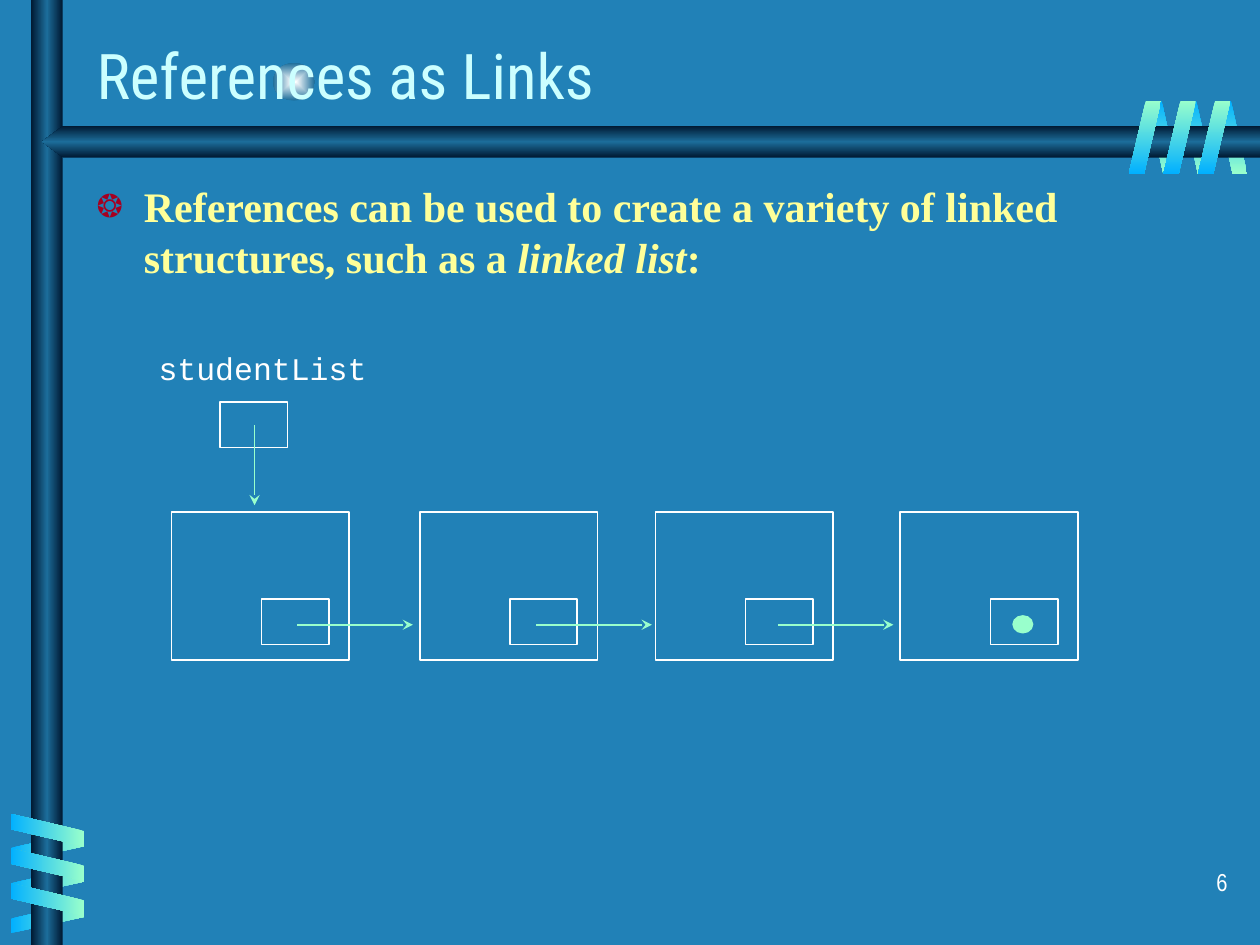
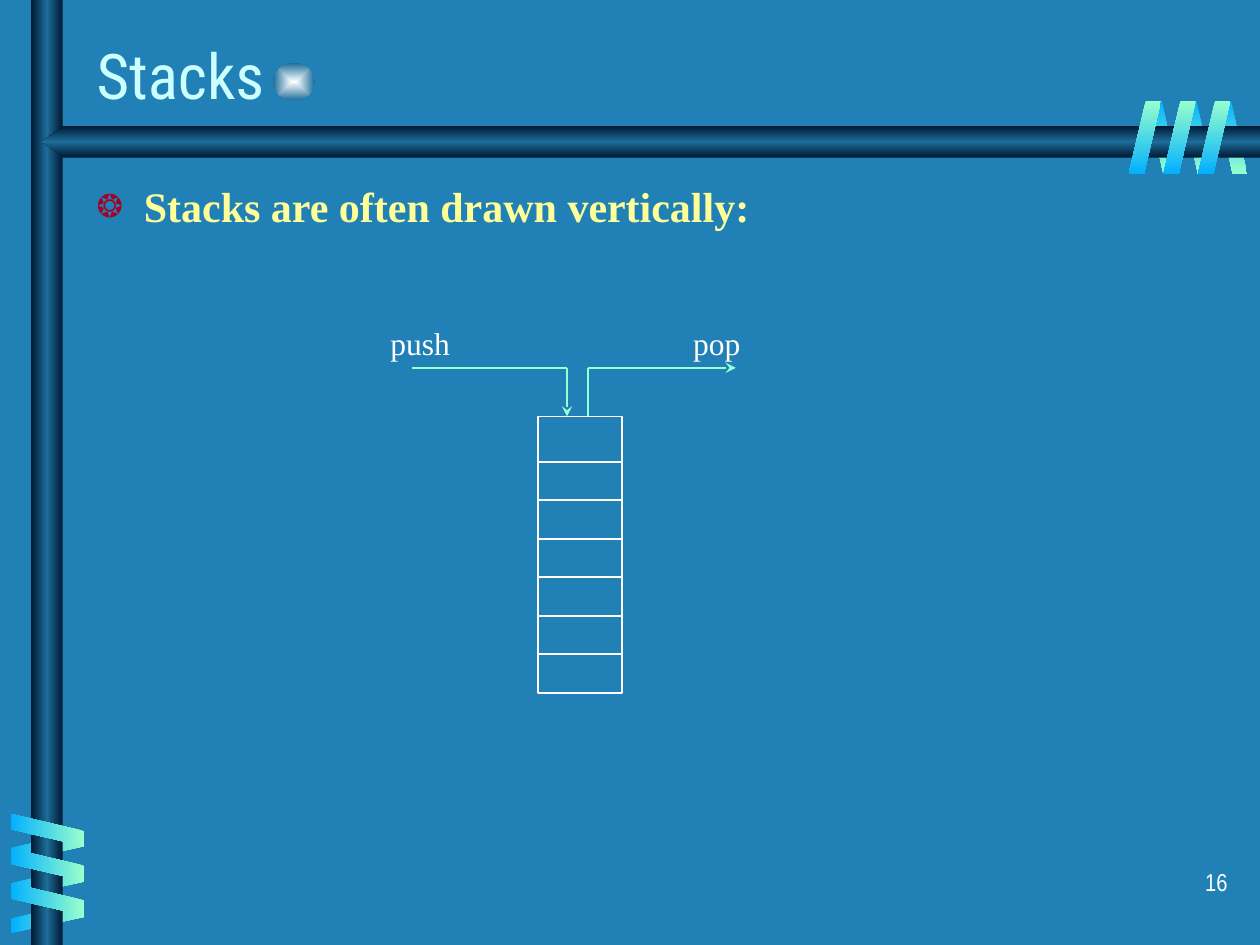
from collections import namedtuple
from dataclasses import dataclass

from lxml import etree
from pptx import Presentation
from pptx.dml.color import RGBColor
from pptx.enum import shapes as kinds, text as modes
from pptx.oxml.ns import qn
from pptx.util import Pt

Box = namedtuple("Box", "left top width height")
SHAPE = kinds.MSO_SHAPE


@dataclass(frozen=True)
class Theme:
    ground: str = "2181B7"
    title: str = "CCFFFF"
    body: str = "FFFF99"
    bullet: str = "A50021"
    outline: str = "FFFFFF"
    accent: str = "99FFCC"
    ribbon: str = "01B0FF"
    bar_edge: str = "001932"
    bar_core: str = "1C6D9A"
    glow: str = "FEFFFF"
    title_font: str = "Roboto Condensed"
    body_font: str = "Times New Roman"
    code_font: str = "Courier New"
    number_font: str = "Arial Narrow"
    title_size: int = 36
    body_size: int = 24
    label_size: int = 18
    number_size: int = 14


THEME = Theme()
BAR_STOPS = (THEME.bar_edge, THEME.bar_core, THEME.bar_edge)
TITLE_BOX = Box(48, 15.5, 598, 54)
BODY_BOX = Box(48, 99.8, 654, 386)
NUMBER_BOX = Box(558.5, 492, 150, 36)


def points(*lengths):
    return [Pt(length) for length in lengths]


def sub(parent, tag, **attributes):
    return etree.SubElement(parent, qn(tag), attributes)


def style(paragraph, font, size, color, bold=False):
    paragraph.font.name = font
    paragraph.font.size = Pt(size)
    paragraph.font.bold = bold
    paragraph.font.color.rgb = RGBColor.from_string(color)


def gradient(shape, colors, angle=None):
    """Fill with evenly spaced colours; without an angle they run from the centre."""
    shape.shadow.inherit = False
    shape.line.fill.background()
    shape.fill.gradient()
    fill = shape.element.spPr.find(qn("a:gradFill"))
    fill.set("rotWithShape", "0")
    for child in list(fill):
        fill.remove(child)
    stops = sub(fill, "a:gsLst")
    for i, color in enumerate(colors):
        stop = sub(stops, "a:gs", pos=str(100000 * i // (len(colors) - 1)))
        sub(stop, "a:srgbClr", val=color)
    if angle is None:
        center = sub(fill, "a:path", path="rect")
        sub(center, "a:fillToRect", l="50000", t="50000", r="50000", b="50000")
    else:
        sub(fill, "a:lin", ang=str(angle * 60000), scaled="0")


def outlined(shapes, box, kind=SHAPE.RECTANGLE, fill=None):
    shape = shapes.add_shape(kind, *points(*box))
    shape.shadow.inherit = False
    if fill:
        shape.fill.solid()
        shape.fill.fore_color.rgb = RGBColor.from_string(fill)
    else:
        shape.fill.background()
    shape.line.color.rgb = RGBColor.from_string(fill or THEME.outline)
    shape.line.width = Pt(1)


def link(shapes, start, end, arrow=True):
    line = shapes.add_connector(kinds.MSO_CONNECTOR.STRAIGHT, *points(*start, *end))
    line.line.color.rgb = RGBColor.from_string(THEME.accent)
    line.line.width = Pt(1)
    properties = line._element.spPr
    if arrow:
        sub(properties.find(qn("a:ln")), "a:tailEnd", type="stealth")
    sub(properties, "a:effectLst")


def label(shapes, box, wording, font):
    frame = shapes.add_textbox(*points(*box)).text_frame
    frame.word_wrap = False
    frame.auto_size = modes.MSO_AUTO_SIZE.SHAPE_TO_FIT_TEXT
    frame.text = wording
    style(frame.paragraphs[0], font, THEME.label_size, THEME.outline)


def coil(shapes, box, step, colors, angle, rotation=0, flip=False):
    """Three slanted strips; box is the first, step the shift to the next."""
    for i in range(3):
        place = box._replace(left=box.left + i * step[0], top=box.top + i * step[1])
        strip = shapes.add_shape(SHAPE.PARALLELOGRAM, *points(*place))
        strip.adjustments[0] = 0.53
        strip.rotation = rotation
        if flip:
            strip.element.spPr.find(qn("a:xfrm")).set("flipH", "1")
        gradient(strip, colors, angle)


def draw_frame(shapes):
    glow = shapes.add_shape(SHAPE.OVAL, *points(156, 36, 24, 21.5))
    gradient(glow, (THEME.glow, THEME.bar_core))

    back, front = (THEME.ribbon, THEME.accent), (THEME.accent, THEME.ribbon)
    coil(shapes, Box(655.5, 57.5, 17.5, 42), (19.8, 0), back, 90, 180, True)
    coil(shapes, Box(18.5, 463, 17.5, 42), (0, 20.2), back, 180, 90, True)

    post = shapes.add_shape(SHAPE.RECTANGLE, *points(17.8, 0, 18, 540))
    gradient(post, BAR_STOPS, 180)
    outline = shapes.build_freeform(720, 72, scale=Pt(1))
    outline.add_line_segments([(36, 72), (24, 81), (36, 90), (720, 90)])
    gradient(outline.convert_to_shape(), BAR_STOPS, 90)

    coil(shapes, Box(17.8, 453.3, 18.5, 42), (0, 19.8), front, 180, 270)
    coil(shapes, Box(645, 57.5, 18.5, 42), (19.8, 0), front, 90)


def share_frame(slide):
    """Draw the frame and move it to the layout, behind every slide's content."""
    before = set(slide.shapes.element)
    draw_frame(slide.shapes)
    for element in list(slide.shapes.element):
        if element not in before:
            slide.slide_layout.shapes.element.append(element)


def place_text(placeholder, box, anchor):
    placeholder.left, placeholder.top, placeholder.width, placeholder.height = points(*box)
    frame = placeholder.text_frame
    frame.auto_size = modes.MSO_AUTO_SIZE.NONE
    frame.vertical_anchor = anchor
    paragraph = frame.paragraphs[0]
    paragraph.alignment = modes.PP_ALIGN.LEFT
    return paragraph


def write_title(slide, wording):
    heading = place_text(slide.shapes.title, TITLE_BOX, modes.MSO_ANCHOR.MIDDLE)
    heading.add_run().text = wording
    style(heading, THEME.title_font, THEME.title_size, THEME.title)


def write_point(slide, parts):
    """One bulleted point from (wording, italic) parts."""
    point = place_text(slide.placeholders[1], BODY_BOX, modes.MSO_ANCHOR.TOP)
    point.space_before = Pt(6)
    properties = point._p.get_or_add_pPr()
    properties.set("marL", str(Pt(27)))
    properties.set("indent", str(Pt(-27)))
    sub(sub(properties, "a:buClr"), "a:srgbClr", val=THEME.bullet)
    sub(properties, "a:buSzPct", val="75000")
    sub(properties, "a:buChar", char="❂")
    style(point, THEME.body_font, THEME.body_size, THEME.body, bold=True)
    for wording, italic in parts:
        run = point.add_run()
        run.text = wording
        if italic:
            run.font.italic = True


def write_number(slide, number):
    frame = slide.shapes.add_textbox(*points(*NUMBER_BOX)).text_frame
    frame.word_wrap = True
    frame.text = str(number)
    paragraph = frame.paragraphs[0]
    paragraph.alignment = modes.PP_ALIGN.RIGHT
    paragraph.space_before = Pt(8.8)
    style(paragraph, THEME.number_font, THEME.number_size, THEME.outline)


def draw_linked_list(shapes, left, top):
    node_top = top + 96.5
    link_y = node_top + 64.5
    label(shapes, Box(left - 14.5, top, 134, 29), "studentList", THEME.code_font)
    outlined(shapes, Box(left + 27.8, top + 33.7, 38.5, 26))

    node_lefts = [left + offset for offset in (0, 142, 276.5, 416.5)]
    for node_left in node_lefts:
        outlined(shapes, Box(node_left, node_top, 101.5, 84.5))
        outlined(shapes, Box(node_left + 51.5, node_top + 49.8, 38.5, 26))

    for offset in (72, 208.5, 346.5):
        link(shapes, (left + offset, link_y), (left + offset + 66, link_y))
    link(shapes, (left + 47.5, top + 47), (left + 47.5, top + 92.7))
    outlined(shapes, Box(node_lefts[-1] + 64.5, link_y - 5, 11, 9.5), SHAPE.OVAL, THEME.accent)


def draw_stack(shapes, left, top):
    """A column of cells at left, top, with the push and pop paths above it."""
    outlined(shapes, Box(left, top, 48.2, 158.2))
    for i in range(3):
        outlined(shapes, Box(left, top + 26.2 + 44 * i, 48.2, 21.5))

    path_y = top - 27.8
    push_x, pop_x = left + 16.5, left + 28.5
    link(shapes, (left - 72, path_y), (push_x, path_y), arrow=False)
    link(shapes, (push_x, path_y), (push_x, top))
    link(shapes, (pop_x, path_y), (pop_x, top), arrow=False)
    link(shapes, (pop_x, path_y), (left + 113, path_y))
    label(shapes, Box(left - 91.5, path_y - 28.7, 52, 29), "push", THEME.body_font)
    label(shapes, Box(left + 81.5, path_y - 28.7, 45, 29), "pop", THEME.body_font)


SLIDES = [
    (
        "References as Links",
        [
            ("References can be used to create a variety of linked structures, such as a ", False),
            ("linked list", True),
            (":", False),
        ],
        6,
        draw_linked_list,
        (98, 196),
    ),
    (
        "Stacks",
        [("Stacks are often drawn vertically:", False)],
        16,
        draw_stack,
        (307.5, 238),
    ),
]


def main():
    deck = Presentation()
    deck.slide_width, deck.slide_height = points(720, 540)
    ground = deck.slide_master.background.fill
    ground.solid()
    ground.fore_color.rgb = RGBColor.from_string(THEME.ground)

    for title, point, number, draw_diagram, corner in SLIDES:
        slide = deck.slides.add_slide(deck.slide_layouts[1])
        if len(deck.slides) == 1:
            share_frame(slide)
        write_title(slide, title)
        write_point(slide, point)
        draw_diagram(slide.shapes, *corner)
        write_number(slide, number)
    deck.save("out.pptx")


if __name__ == "__main__":
    main()
